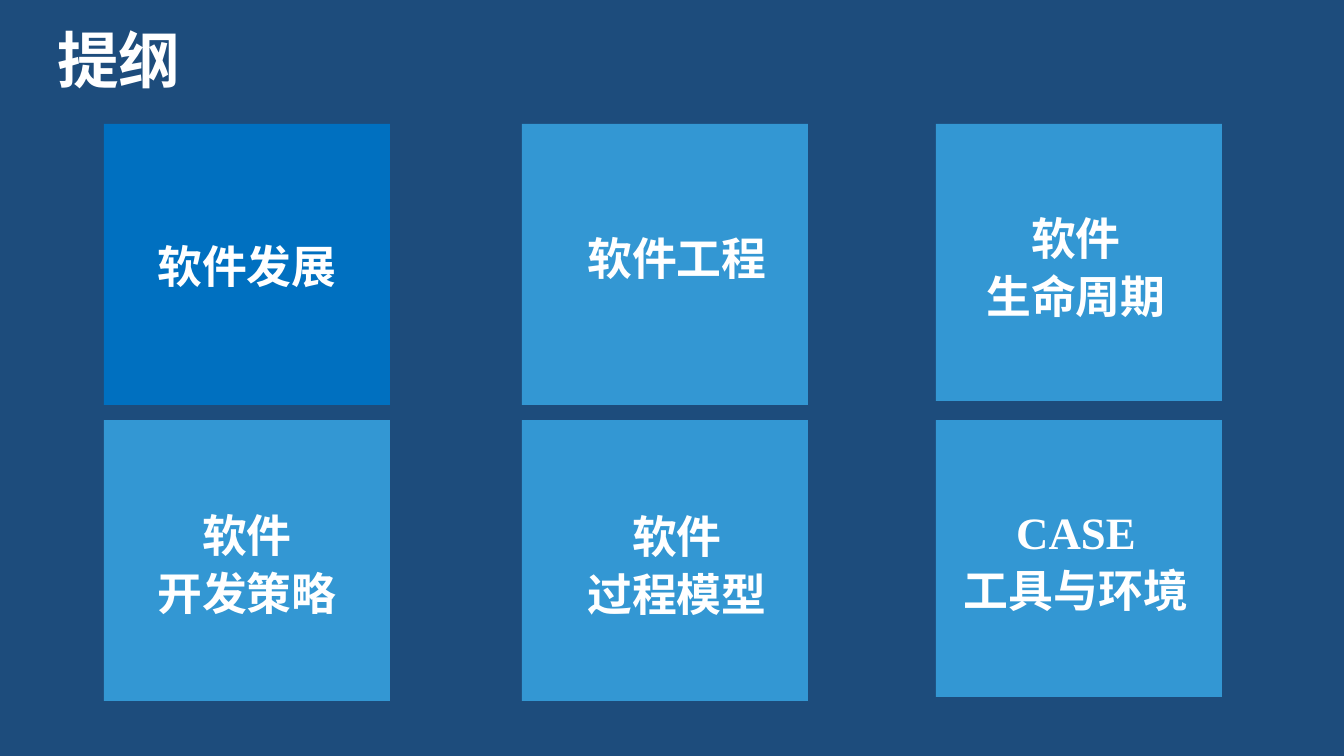
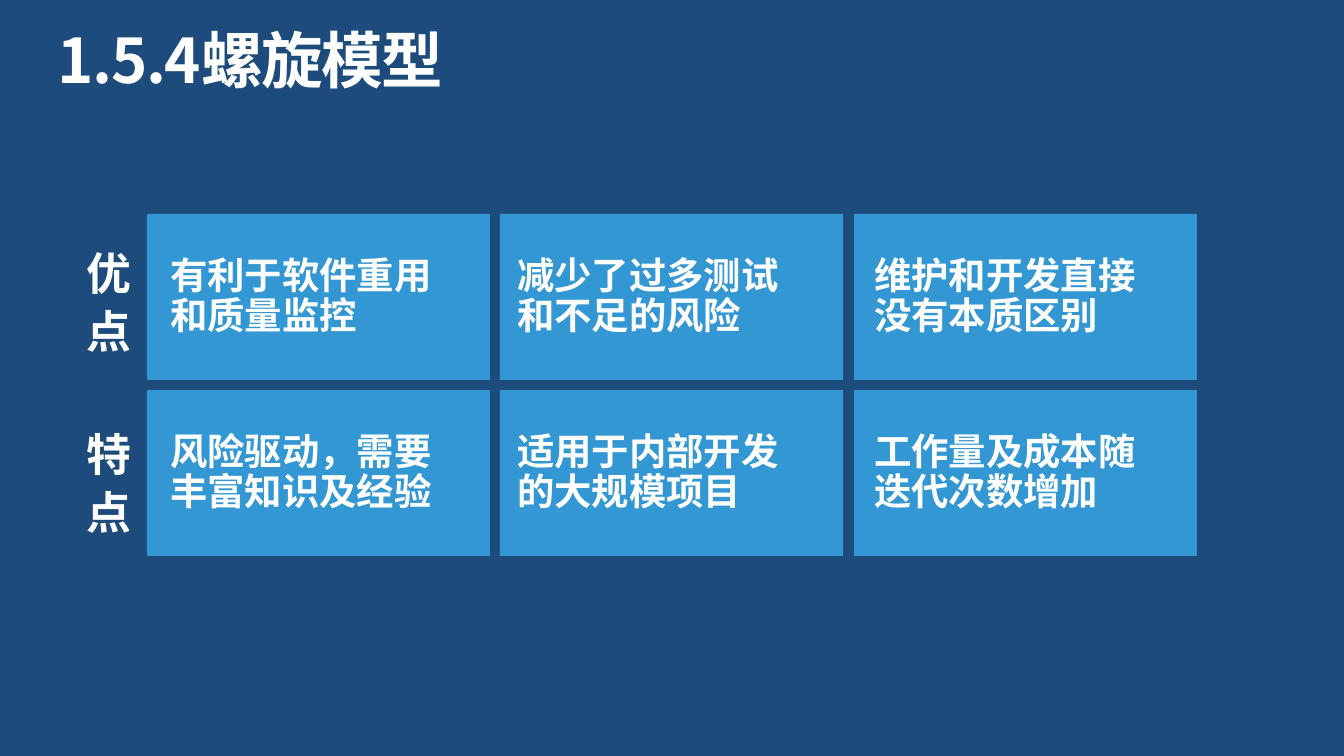
from dataclasses import dataclass

from pptx import Presentation
from pptx.dml.color import RGBColor
from pptx.enum.shapes import MSO_SHAPE
from pptx.enum.text import MSO_ANCHOR, PP_ALIGN
from pptx.oxml.ns import qn
from pptx.util import Pt


@dataclass(frozen=True)
class Theme:
    background: str = "1D4C7C"
    tile: str = "3397D3"
    active: str = "0070C0"
    text: str = "FFFFFF"
    font: str = "Noto Sans CJK SC"
    latin_font: str = "Times New Roman"
    title_size: int = 33
    heading_size: int = 24
    body_size: int = 20


THEME = Theme()
EMU_PER_PX = 914400 / 134.4
LINE_HEIGHT = {THEME.title_size: 37.5, THEME.heading_size: 28, THEME.body_size: 21.5}

OUTLINE_TITLE = "提纲"
# Each topic: its lines and the vertical centre of its caption
OUTLINE_ROWS = [
    [(["软件发展"], 266), (["软件工程"], 258), (["软件", "生命周期"], 267)],
    [(["软件", "开发策略"], 564), (["软件", "过程模型"], 565), (["CASE", "工具与环境"], 561)],
]
# Each column: tile left, tile height, caption centre
OUTLINE_COLUMNS = [(104, 281, 247), (522, 281, 677), (936, 277, 1076)]
OUTLINE_TOPS = [124, 420]
OUTLINE_TILE_WIDTH = 286

SPIRAL_TITLE = "1.5.4螺旋模型"
# Each row: its label, label top, and points
SPIRAL_ROWS = [
    ("优点", 234, ["有利于软件重用和质量监控", "减少了过多测试和不足的风险", "维护和开发直接没有本质区别"]),
    ("特点", 415, ["风险驱动，需要丰富知识及经验", "适用于内部开发的大规模项目", "工作量及成本随迭代次数增加"]),
]
# Each column: tile left, text left
SPIRAL_COLUMNS = [(147, 157), (500, 504), (854, 861)]
SPIRAL_TOP, SPIRAL_STEP = 214, 176
SPIRAL_TILE = (343, 166)


def px(length):
    return round(length * EMU_PER_PX)


def color(value):
    return RGBColor.from_string(value)


def add_page(deck, title):
    page = deck.slides.add_slide(deck.slide_layouts[6])
    page.background.fill.solid()
    page.background.fill.fore_color.rgb = color(THEME.background)
    add_text(page, [title], 58, 26, 1230, 67, size=THEME.title_size, spacing=-80)
    return page


def add_tile(page, left, top, width, height, fill=THEME.tile):
    tile = page.shapes.add_shape(MSO_SHAPE.RECTANGLE, px(left), px(top), px(width), px(height))
    tile.shadow.inherit = False
    tile.fill.solid()
    tile.fill.fore_color.rgb = color(fill)
    tile.line.fill.background()


def add_text(page, lines, left, top, width, height, size=THEME.heading_size, inset=0,
             align=PP_ALIGN.LEFT, anchor=MSO_ANCHOR.TOP, wrap=True, spacing=None):
    """Add a text box with one paragraph per line; spacing is in hundredths of a point."""
    box = page.shapes.add_textbox(px(left), px(top), px(width), px(height))
    frame = box.text_frame
    frame.word_wrap = wrap
    frame.vertical_anchor = anchor
    frame.margin_left = frame.margin_right = px(inset)
    frame.margin_top = frame.margin_bottom = px(inset)
    for index, line in enumerate(lines):
        para = frame.add_paragraph() if index else frame.paragraphs[0]
        para.alignment = align
        para.line_spacing = Pt(LINE_HEIGHT[size])
        if index:
            para.space_before = Pt(3)
        span = para.add_run()
        span.text = line
        span.font.size = Pt(size)
        span.font.bold = True
        span.font.color.rgb = color(THEME.text)
        span.font.name = THEME.latin_font if line.isascii() else THEME.font
        properties = span.font._element
        east_asian = properties.makeelement(qn("a:ea"), {"typeface": THEME.font})
        properties.find(qn("a:latin")).addnext(east_asian)
        if spacing is not None:
            properties.set("spc", str(spacing))


def add_outline(deck):
    page = add_page(deck, OUTLINE_TITLE)
    for row, (top, topics) in enumerate(zip(OUTLINE_TOPS, OUTLINE_ROWS)):
        for column, (lines, middle) in enumerate(topics):
            left, tile_height, center = OUTLINE_COLUMNS[column]
            fill = THEME.active if row == column == 0 else THEME.tile
            add_tile(page, left, top, OUTLINE_TILE_WIDTH, tile_height, fill)
            height = 54 * len(lines)
            add_text(page, lines, center - 120, middle - height / 2, 240, height,
                     align=PP_ALIGN.CENTER, anchor=MSO_ANCHOR.MIDDLE)


def add_spiral(deck):
    page = add_page(deck, SPIRAL_TITLE)
    for row, (label, label_top, points) in enumerate(SPIRAL_ROWS):
        top = SPIRAL_TOP + row * SPIRAL_STEP
        add_text(page, list(label), 74, label_top, 73, 136, inset=13, wrap=False)
        for (tile_left, text_left), point in zip(SPIRAL_COLUMNS, points):
            add_tile(page, tile_left, top, *SPIRAL_TILE)
            add_text(page, [point], text_left, top + 30, 324, 109,
                     size=THEME.body_size, inset=13)


def main():
    deck = Presentation()
    deck.slide_width, deck.slide_height = px(1344), px(756)
    add_outline(deck)
    add_spiral(deck)
    deck.save("out.pptx")


if __name__ == "__main__":
    main()
